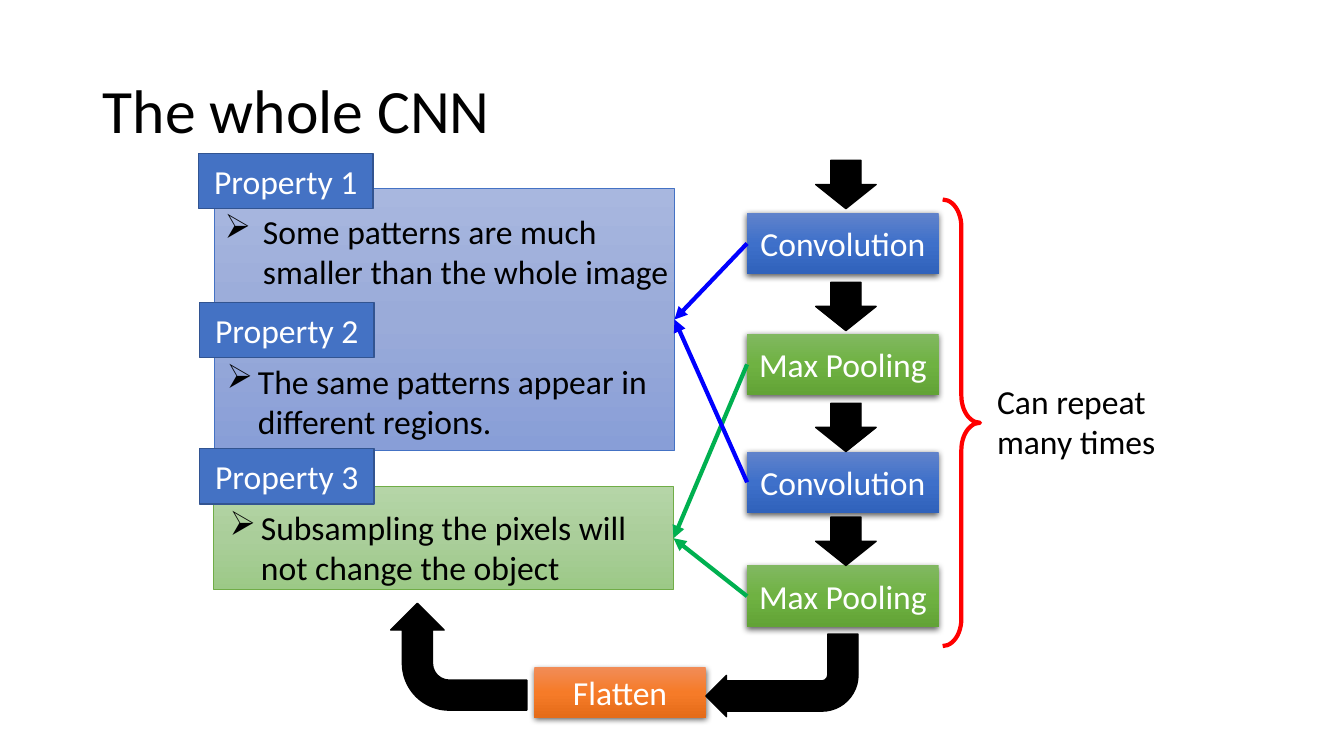
from pptx import Presentation
from pptx.dml.color import RGBColor
from pptx.enum.shapes import MSO_CONNECTOR, MSO_SHAPE
from pptx.enum.text import MSO_ANCHOR, MSO_AUTO_SIZE, PP_ALIGN
from pptx.oxml import parse_xml
from pptx.oxml.ns import nsdecls, qn
from pptx.util import Emu, Pt

EMU_PER_PX = 9144
FONT = "Calibri"
COLORS = {
    "black": "000000",
    "white": "FFFFFF",
    "tag": "4472C4",
    "tag_edge": "325491",
    "leaf_edge": "70AD47",
    "red": "FF0000",
    "blue": "0000FF",
    "green": "00B050",
}
GRADIENTS = {
    "pale_blue": ("A8B7DF", "9AABD9", "889ED7"),
    "pale_green": ("B5D5A7", "AACE9A", "9CC987"),
    "blue": ("6183CB", "3E70CA", "3062BB"),
    "green": ("81B861", "6FB242", "62A336"),
    "orange": ("F18C57", "F67B28", "E56C19"),
}


def px(value):
    return Emu(value * EMU_PER_PX)


def color(name):
    return RGBColor.from_string(COLORS[name])


class SlideBuilder:
    def __init__(self, presentation):
        self.slide = presentation.slides.add_slide(presentation.slide_layouts[5])
        self.shapes = self.slide.shapes

    def set_text(self, shape, text, size=24, ink="black", align=PP_ALIGN.LEFT,
                 anchor=MSO_ANCHOR.TOP):
        frame = shape.text_frame
        frame.word_wrap = True
        frame.auto_size = MSO_AUTO_SIZE.NONE
        frame.vertical_anchor = anchor
        paragraph = frame.paragraphs[0]
        paragraph.alignment = align
        run = paragraph.add_run()
        run.text = text
        run.font.name = FONT
        run.font.size = Pt(size)
        run.font.color.rgb = color(ink)
        return paragraph

    def title(self, text, box):
        title = self.shapes.title
        title.left, title.top, title.width, title.height = map(px, box)
        paragraph = self.set_text(title, text, 44, anchor=MSO_ANCHOR.MIDDLE)
        paragraph.line_spacing = 0.9

    def shape(self, kind, box, fill=None, gradient=None, line=None, weight=1,
              rotation=0, adjustments=()):
        shape = self.shapes.add_shape(kind, *map(px, box))
        shape.rotation = rotation
        for index, value in enumerate(adjustments):
            shape.adjustments[index] = value
        if gradient:
            self.fill_gradient(shape, GRADIENTS[gradient])
        elif fill:
            shape.fill.solid()
            shape.fill.fore_color.rgb = color(fill)
        else:
            shape.fill.background()
        if line:
            shape.line.color.rgb = color(line)
            shape.line.width = Pt(weight)
        else:
            shape.line.fill.background()
        shape.shadow.inherit = False
        return shape

    def fill_gradient(self, shape, stops):
        stop_xml = "".join(
            f'<a:gs pos="{index * 50000}"><a:srgbClr val="{stop}"/></a:gs>'
            for index, stop in enumerate(stops))
        shape._element.spPr.append(parse_xml(
            f'<a:gradFill {nsdecls("a")} rotWithShape="1"><a:gsLst>{stop_xml}</a:gsLst>'
            '<a:lin ang="5400000" scaled="0"/></a:gradFill>'))

    def label(self, text, box, **style):
        shape = self.shape(MSO_SHAPE.RECTANGLE, box, **style)
        self.set_text(shape, text, ink="white", align=PP_ALIGN.CENTER,
                      anchor=MSO_ANCHOR.MIDDLE)
        return shape

    def layer(self, text, box, gradient):
        shape = self.label(text, box, gradient=gradient)
        effects = shape._element.spPr.find(qn("a:effectLst"))
        effects.append(parse_xml(
            f'<a:outerShdw {nsdecls("a")} blurRad="57150" dist="19050" dir="5400000" '
            'algn="ctr" rotWithShape="0"><a:srgbClr val="000000">'
            '<a:alpha val="63000"/></a:srgbClr></a:outerShdw>'))
        return shape

    def text(self, text, box):
        return self.set_text(self.shapes.add_textbox(*map(px, box)), text)

    def bullet(self, text, box, indent):
        properties = self.text(text, box)._p.get_or_add_pPr()
        properties.set("marL", str(px(indent)))
        properties.set("indent", str(-px(indent)))
        properties.append(parse_xml(f'<a:buChar {nsdecls("a")} char="➢"/>'))

    def arrow(self, layer, panel, ink):
        connector = self.shapes.add_connector(MSO_CONNECTOR.STRAIGHT, 0, 0, 0, 0)
        connector.begin_connect(layer, 1)
        connector.end_connect(panel, 3)
        connector.line.color.rgb = color(ink)
        connector.line.width = Pt(3)
        connector.line._get_or_add_ln().append(
            parse_xml(f'<a:tailEnd {nsdecls("a")} type="triangle"/>'))
        connector._element.spPr.append(parse_xml(f'<a:effectLst {nsdecls("a")}/>'))


def main():
    presentation = Presentation()
    presentation.slide_width = px(1333)
    presentation.slide_height = px(750)
    builder = SlideBuilder(presentation)

    builder.title("The whole CNN", (92, 40, 1150, 145))
    pooling_panel = builder.shape(MSO_SHAPE.RECTANGLE, (212, 483, 456, 102),
                                  gradient="pale_green", line="leaf_edge", weight=0.5)
    convolution_panel = builder.shape(MSO_SHAPE.RECTANGLE, (213, 187, 456, 260),
                                      gradient="pale_blue", line="tag", weight=0.5)

    links = []
    for index, (arrow_top, layer_top) in enumerate(
            [(159, 211), (280, 331), (400, 448), (513, 561)]):
        name, hue, panel = (("Max Pooling", "green", pooling_panel) if index % 2
                            else ("Convolution", "blue", convolution_panel))
        layer = builder.layer(name, (741, layer_top, 190, 61), hue)
        builder.shape(MSO_SHAPE.DOWN_ARROW, (809, arrow_top, 60, 48),
                      fill="black", line="black")
        links.append((layer, panel, hue))

    builder.layer("Flatten", (530, 662, 170, 50), "orange")
    for box, rotation, thickness in [((700, 629, 151, 82), 180, 0.366),
                                     ((402, 584, 106, 135), 270, 0.281)]:
        builder.shape(MSO_SHAPE.BENT_ARROW, box, fill="black", line="black",
                      rotation=rotation, adjustments=(thickness, 0.25, 0.25, 0.438))

    builder.text("Can repeat many times", (979, 373, 185, 91))
    builder.shape(MSO_SHAPE.RIGHT_BRACE, (935, 198, 37, 443), line="red", weight=3,
                  adjustments=(0.729, 0.5))

    for text, box, indent in [
        ("Some patterns are much smaller than the whole image", (213, 204, 471, 91), 38),
        ("The same patterns appear in different regions.", (215, 353, 456, 91), 31),
        ("Subsampling the pixels will not change the object", (218, 498, 456, 91), 31),
    ]:
        builder.bullet(text, box, indent)

    for link in links:
        builder.arrow(*link)

    for number, (left, top) in enumerate([(197, 152), (198, 300), (198, 445)], 1):
        builder.label(f"Property {number}", (left, top, 173, 55),
                      fill="tag", line="tag_edge")

    presentation.save("out.pptx")


if __name__ == "__main__":
    main()
